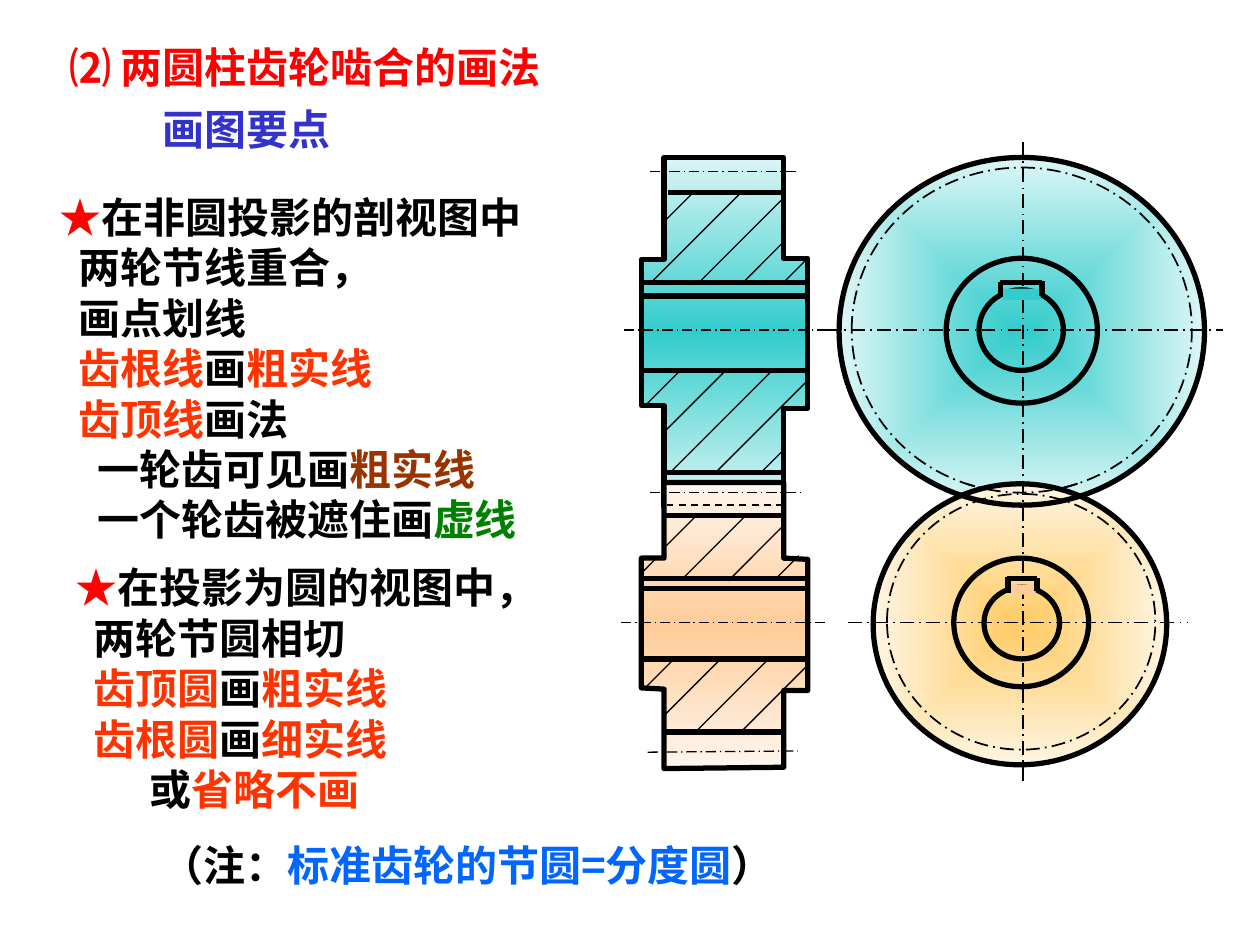
from itertools import chain
from typing import NamedTuple

from lxml import etree
from pptx import Presentation
from pptx.dml.color import RGBColor
from pptx.enum import dml, shapes, text
from pptx.oxml.ns import qn
from pptx.util import Inches, Pt

FONT = "Noto Sans CJK SC"
COLORS = {
    "black": "000000", "red": "FF0000", "orange": "FF3300", "brown": "993300",
    "green": "008000", "indigo": "3333CC", "blue": "0066FF",
    "teal": "33CCCC", "teal_edge": "DAF5F5", "teal_rim": "DEF6F6",
    "peach": "FFCC99", "peach_edge": "FEF6EE", "gold": "FFCC66", "gold_rim": "FEF5E3",
}


class Pen(NamedTuple):
    width: float
    dash: dml.MSO_LINE = dml.MSO_LINE.SOLID


class Para(NamedTuple):
    runs: list  # (text, colour name) pairs
    indent: float = 0


class Line(NamedTuple):
    x1: float
    y1: float
    x2: float
    y2: float
    pen: Pen


class Ellipse(NamedTuple):
    left: float
    top: float
    width: float
    height: float
    pen: Pen
    stops: tuple = ()


BOLD, THIN = Pen(3), Pen(0.75)
AXIS = Pen(0.75, dml.MSO_LINE.LONG_DASH_DOT)
PITCH = Pen(1, dml.MSO_LINE.LONG_DASH_DOT)
HIDDEN = Pen(1, dml.MSO_LINE.DASH)


def rgb(name: str) -> RGBColor:
    return RGBColor.from_string(COLORS[name])


def set_pen(line, pen: Pen) -> None:
    line.color.rgb = rgb("black")
    line.width = Pt(pen.width)
    line.dash_style = pen.dash


def set_gradient(sp, stops: tuple, radial: bool) -> None:
    """Spread the stops evenly, downwards or out from the centre."""
    sp.fill.gradient()
    grad = sp._element.spPr.find(qn("a:gradFill"))
    for child in list(grad):
        grad.remove(child)
    gs_list = etree.SubElement(grad, qn("a:gsLst"))
    for i, name in enumerate(stops):
        gs = etree.SubElement(gs_list, qn("a:gs"), pos=str(100000 * i // (len(stops) - 1)))
        etree.SubElement(gs, qn("a:srgbClr"), val=COLORS[name])
    if radial:
        shade = etree.SubElement(grad, qn("a:path"), path="rect")
        etree.SubElement(shade, qn("a:fillToRect"), dict.fromkeys("ltrb", "50000"))
    else:
        etree.SubElement(grad, qn("a:lin"), ang="5400000", scaled="0")


def draw_line(s, line: Line) -> None:
    ends = [Inches(v) for v in line[:4]]
    c = s.shapes.add_connector(shapes.MSO_CONNECTOR.STRAIGHT, *ends)
    set_pen(c.line, line.pen)
    etree.SubElement(c._element.spPr, qn("a:effectLst"))


def draw_section(s, outline: list, stops: tuple) -> None:
    points = [(Inches(x), Inches(y)) for x, y in outline]
    builder = s.shapes.build_freeform(*points[0])
    builder.add_line_segments(points[1:], close=True)
    sp = builder.convert_to_shape()
    sp.shadow.inherit = False
    set_gradient(sp, stops, radial=False)
    set_pen(sp.line, BOLD)


def draw_ellipse(s, e: Ellipse, kind=shapes.MSO_SHAPE.OVAL):
    sp = s.shapes.add_shape(kind, *[Inches(v) for v in e[:4]])
    sp.shadow.inherit = False
    if e.stops:
        set_gradient(sp, e.stops, radial=True)
    else:
        sp.fill.background()
    set_pen(sp.line, e.pen)
    return sp


def draw_bottom_arc(s, e: Ellipse) -> None:
    """Draw the part of the rim that passes over the other gear."""
    sp = draw_ellipse(s, e._replace(stops=()), shapes.MSO_SHAPE.ARC)
    for i, degrees in enumerate((70, 110)):
        sp.adjustments[i] = degrees * 0.6


def draw_keyway_fill(s, box: tuple, color: str) -> None:
    sp = s.shapes.add_shape(shapes.MSO_SHAPE.RECTANGLE, *[Inches(v) for v in box])
    sp.shadow.inherit = False
    sp.fill.solid()
    sp.fill.fore_color.rgb = rgb(color)
    sp.line.fill.background()


def write(sp, box: tuple, paras: list) -> None:
    sp.left, sp.top, sp.width, sp.height = [Inches(v) for v in box]
    tf = sp.text_frame
    frame_format = {
        "word_wrap": True, "auto_size": text.MSO_AUTO_SIZE.NONE,
        "vertical_anchor": text.MSO_ANCHOR.MIDDLE,
        "margin_left": Inches(0.1), "margin_right": Inches(0.1),
        "margin_top": Inches(0.08), "margin_bottom": Inches(0.02),
    }
    para_format = {"alignment": text.PP_ALIGN.LEFT, "line_spacing": Pt(28.8),
                   "space_before": Pt(0), "space_after": Pt(0)}
    for key, value in frame_format.items():
        setattr(tf, key, value)
    for i, para in enumerate(paras):
        p = tf.add_paragraph() if i else tf.paragraphs[0]
        for key, value in para_format.items():
            setattr(p, key, value)
        pPr = p._p.get_or_add_pPr()
        pPr.set("marL", str(Inches(para.indent)))
        pPr.set("indent", "0")
        etree.SubElement(pPr, qn("a:buNone"))
        for words, color in para.runs:
            r = p.add_run()
            r.text = words
            for key, value in {"size": Pt(24), "bold": True, "name": FONT}.items():
                setattr(r.font, key, value)
            r.font.color.rgb = rgb(color)
            etree.SubElement(r._r.get_or_add_rPr(), qn("a:ea"), typeface=FONT)


def hatch(*strokes: tuple) -> list:
    """45 degree strokes given as lower left end and run."""
    return [Line(x, y, x + run, y - run, THIN) for x, y, run in strokes]


def level(pen: Pen, *rows: tuple) -> list:
    return [Line(x1, y, x2, y, pen) for x1, x2, y in rows]


TOP_SECTION = [(5.09, 3.22), (5.09, 2.06), (5.27, 2.06), (5.27, 1.25), (6.22, 1.25), (6.22, 2.05),
               (6.41, 2.05), (6.41, 3.24), (6.22, 3.24), (6.22, 4.02), (5.27, 4.02), (5.27, 3.22)]
LOW_SECTION = [(5.09, 5.46), (5.09, 4.43), (5.27, 4.43), (5.27, 3.83), (6.22, 3.83), (6.22, 4.43),
               (6.41, 4.44), (6.41, 5.48), (6.22, 5.48), (6.22, 6.09), (5.27, 6.1), (5.27, 5.47)]
SECTION_LINES = chain(
    hatch((5.27, 4.35, 0.27), (5.42, 4.59, 0.51), (5.78, 4.61, 0.44), (5.11, 5.47, 0.25),
          (5.27, 5.68, 0.45), (5.51, 5.82, 0.61), (5.88, 5.81, 0.53), (6.15, 4.6, 0.19),
          (5.09, 4.55, 0.13)),
    hatch((5.27, 1.76, 0.24), (5.16, 2.25, 0.71), (5.54, 2.25, 0.68), (5.89, 2.25, 0.33),
          (5.11, 3.23, 0.3), (5.27, 3.43, 0.49), (5.31, 3.76, 0.82), (5.67, 3.76, 0.72),
          (6.04, 3.75, 0.18), (6.23, 2.23, 0.17)),
    level(BOLD, (5.1, 6.4, 5.23), (5.1, 6.4, 4.59), (5.07, 6.39, 4.67), (5.3, 6.23, 1.53),
          (5.27, 6.22, 3.75), (5.09, 6.39, 2.94), (5.09, 6.39, 2.24), (5.09, 6.41, 2.35),
          (5.27, 6.22, 5.81), (5.27, 6.22, 4.09)),
    level(AXIS, (4.93, 6.57, 4.94), (5.16, 6.33, 1.36), (5.16, 6.37, 3.91), (4.95, 6.56, 2.62)),
    [Line(5.14, 5.97, 6.33, 5.96, AXIS)],
    level(HIDDEN, (5.29, 6.24, 4.01)),
)
BIG_RIM = Ellipse(6.66, 1.25, 2.9, 2.76, BOLD, ("teal", "teal_rim"))
BIG_PITCH = Ellipse(6.76, 1.33, 2.7, 2.58, PITCH)
ELLIPSES = [
    BIG_RIM, BIG_PITCH,
    Ellipse(6.93, 3.84, 2.33, 2.23, BOLD, ("gold", "gold_rim")),
    Ellipse(7.04, 3.92, 2.13, 2.03, PITCH),
    Ellipse(7.51, 2.05, 1.2, 1.15, BOLD), Ellipse(7.57, 4.43, 1.07, 1.02, BOLD),
    Ellipse(7.77, 2.3, 0.67, 0.64, BOLD), Ellipse(7.81, 4.66, 0.6, 0.57, BOLD),
]
CENTRE_LINES = level(PITCH, (6.55, 9.71, 2.62), (6.73, 9.43, 4.94)) + [
    Line(8.12, 1.13, 8.12, 6.23, PITCH)]
KEYWAY_LINES = level(BOLD, (7.99, 8.23, 4.59), (7.94, 8.27, 2.24)) + [
    Line(8.27, 2.23, 8.27, 2.35, BOLD), Line(7.94, 2.35, 7.94, 2.24, BOLD),
    Line(8.23, 4.59, 8.23, 4.69, BOLD), Line(8, 4.71, 8, 4.58, BOLD)]

SECTION_RULES = [
    Para([("★", "red"), ("在非圆投影的剖视图中", "black")]),
    Para([("两轮节线重合，", "black")], 0.15),
    Para([("画点划线", "black")], 0.15),
    Para([("齿根线", "orange"), ("画", "black"), ("粗实线", "orange")], 0.15),
    Para([("齿顶线", "orange"), ("画法", "black")], 0.15),
    Para([("一轮齿可见画", "black"), ("粗实线", "brown")], 0.3),
    Para([("一个轮齿被遮住画", "black"), ("虚线", "green")], 0.3),
]
CIRCLE_RULES = [
    Para([("★", "red"), ("在投影为圆的视图中，", "black")], 0.08),
    Para([("两轮节圆相切", "black")], 0.22),
    Para([("齿顶圆", "orange"), ("画", "black"), ("粗实线", "orange")], 0.22),
    Para([("齿根圆", "orange"), ("画", "black"), ("细实线", "orange")], 0.22),
    Para([("或", "black"), ("省略不画", "orange")], 0.67),
]
NOTE = [Para([("（注：", "black"), ("标准齿轮的节圆=分度圆", "blue"), ("）", "black")])]


def main() -> None:
    prs = Presentation()
    prs.slide_width, prs.slide_height = Inches(10), Inches(7.5)
    s = prs.slides.add_slide(prs.slide_layouts[3])
    write(s.shapes.title, (0.45, 0.25, 4.69, 0.5), [Para([("⑵ 两圆柱齿轮啮合的画法", "red")])])
    write(s.placeholders[1], (0.37, 1.44, 4.64, 2.9), SECTION_RULES)
    write(s.placeholders[2], (0.42, 4.38, 4.1, 2.1), CIRCLE_RULES)

    draw_section(s, TOP_SECTION, ("teal_edge", "teal", "teal_edge"))
    draw_section(s, LOW_SECTION, ("peach_edge", "peach", "peach_edge"))
    for line in SECTION_LINES:
        draw_line(s, line)
    for ellipse in ELLIPSES:
        draw_ellipse(s, ellipse)
    for rim in (BIG_RIM, BIG_PITCH):
        draw_bottom_arc(s, rim)
    for line in CENTRE_LINES:
        draw_line(s, line)
    draw_keyway_fill(s, (7.96, 2.29, 0.3, 0.09), "teal")
    draw_keyway_fill(s, (8.02, 4.64, 0.2, 0.08), "peach")
    for line in KEYWAY_LINES:
        draw_line(s, line)

    for box, paras in (((1.19, 0.74, 2.16, 0.5), [Para([("画图要点", "indigo")])]),
                       ((1.18, 6.58, 6.35, 0.5), NOTE)):
        write(s.shapes.add_textbox(0, 0, 0, 0), box, paras)
    prs.save("out.pptx")


if __name__ == "__main__":
    main()
